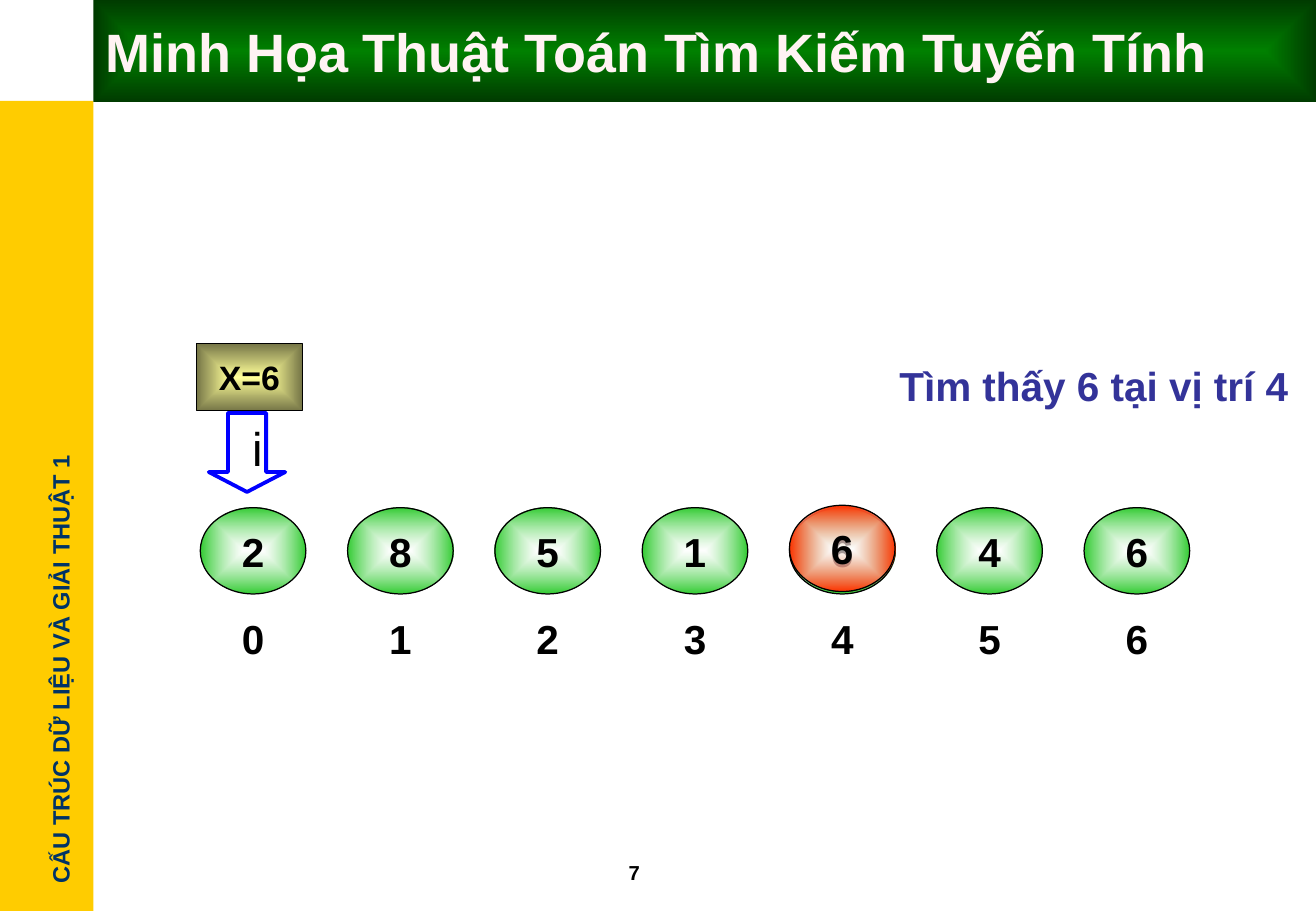
"""Builds a slide that shows a linear search finding 6 at index 4."""
from lxml import etree
from pptx import Presentation
from pptx.dml.color import RGBColor
from pptx.enum.shapes import MSO_SHAPE
from pptx.enum.text import MSO_ANCHOR, PP_ALIGN
from pptx.oxml.ns import qn
from pptx.util import Inches, Pt

RECT, OVAL, ARROW = MSO_SHAPE.RECTANGLE, MSO_SHAPE.OVAL, MSO_SHAPE.DOWN_ARROW
TOP, MID = MSO_ANCHOR.TOP, MSO_ANCHOR.MIDDLE
LEFT, MIDDLE = PP_ALIGN.LEFT, PP_ALIGN.CENTER

TITLE = "Minh Họa Thuật Toán Tìm Kiếm Tuyến Tính"
COURSE = "CẤU TRÚC DỮ LIỆU VÀ GIẢI THUẬT 1"
RESULT = "Tìm thấy 6 tại vị trí 4"
PAGE = "7"
KEY = "X=6"
INDEX = "i"
VALUES = [2, 8, 5, 1, 6, 4, 6]
FOUND = 4

FIRST, LAST = 1.65, 8.93
STEP = (LAST - FIRST) / (len(VALUES) - 1)
BALL_W, BALL_H = 0.87, 0.71
BALL_Y, FOUND_Y, LABEL_Y = 4.18, 4.16, 4.9
GREEN, RED = ("FFFFFF", "33CC33"), ("FFFFFF", "FF3300")

deck = Presentation()
deck.slide_width, deck.slide_height = Inches(10.84), Inches(7.5)
slide = deck.slides.add_slide(deck.slide_layouts[6])


def color(code):
    return RGBColor.from_string(code)


def glow(fill, inner, outer, alpha=None):
    fill.gradient()
    for stop, code in zip(fill.gradient_stops, (inner, outer)):
        stop.color.rgb = color(code)
    grad = fill._xPr.find(qn("a:gradFill"))
    grad.remove(grad.find(qn("a:lin")))
    way = etree.SubElement(grad, qn("a:path"), path="rect")
    etree.SubElement(way, qn("a:fillToRect"), l="50000", t="50000", r="50000", b="50000")
    if alpha:
        tint = next(grad.iter(qn("a:srgbClr")))
        etree.SubElement(tint, qn("a:alpha"), val=str(alpha * 1000))


def shape(kind, box, fill=None, line=None, width=0.75, alpha=None):
    item = slide.shapes.add_shape(kind, *map(Inches, box))
    item.shadow.inherit = False
    if isinstance(fill, tuple):
        glow(item.fill, *fill, alpha)
    elif fill:
        item.fill.solid()
        item.fill.fore_color.rgb = color(fill)
    else:
        item.fill.background()
    if line:
        item.line.color.rgb = color(line)
        item.line.width = Pt(width)
    else:
        item.line.fill.background()
    return item


def write(item, text, size=24, ink="000000", bold=True, align=LEFT,
          anchor=MID, wrap=False, inset=0.1):
    frame = item.text_frame
    frame.word_wrap = wrap
    frame.vertical_anchor = anchor
    frame.margin_left = Inches(inset)
    para = frame.paragraphs[0]
    para.alignment = align
    run = para.add_run()
    run.text = text
    run.font.name, run.font.size, run.font.bold = "Arial", Pt(size), bold
    run.font.color.rgb = color(ink)


def label(box, text, **style):
    item = slide.shapes.add_textbox(*map(Inches, box))
    write(item, text, **style)
    return item


def ball(spot, top, fill):
    box = (FIRST + spot * STEP, top, BALL_W, BALL_H)
    item = shape(OVAL, box, fill, "000000", alpha=60)
    write(item, str(VALUES[spot]), align=MIDDLE)


shape(RECT, (0, 0.83, 0.77, 6.67), "FFCC00")
course = label((-1.37, 5.34, 3.73, 0.34), COURSE, size=14, ink="003366", align=MIDDLE)
course.rotation = 270
label((5.08, 7.03, 0.83, 0.3), PAGE, size=12, wrap=True)
banner = shape(RECT, (0.77, 0, 10.07, 0.84), ("008000", "003B00"))
write(banner, TITLE, size=32, ink="FFF3F3", wrap=True)

for spot in range(len(VALUES)):
    label((FIRST + spot * STEP, LABEL_Y, BALL_W, BALL_H), str(spot), align=MIDDLE, wrap=True)
    ball(spot, BALL_Y, GREEN)

key = shape(RECT, (1.62, 2.83, 0.87, 0.55), ("FFFF99", "767647"), "000000")
write(key, KEY, size=20, align=MIDDLE)
arrow = shape(ARROW, (1.72, 3.4, 0.63, 0.65), line="0000FF", width=2.25)
arrow.adjustments[0], arrow.adjustments[1] = 0.5, 0.26
write(arrow, INDEX, size=28, bold=False, anchor=TOP, wrap=True, inset=0.2)

ball(FOUND, FOUND_Y, RED)
label((7.31, 2.92, 3.48, 0.5), RESULT, ink="333399", wrap=True)

deck.save("out.pptx")
